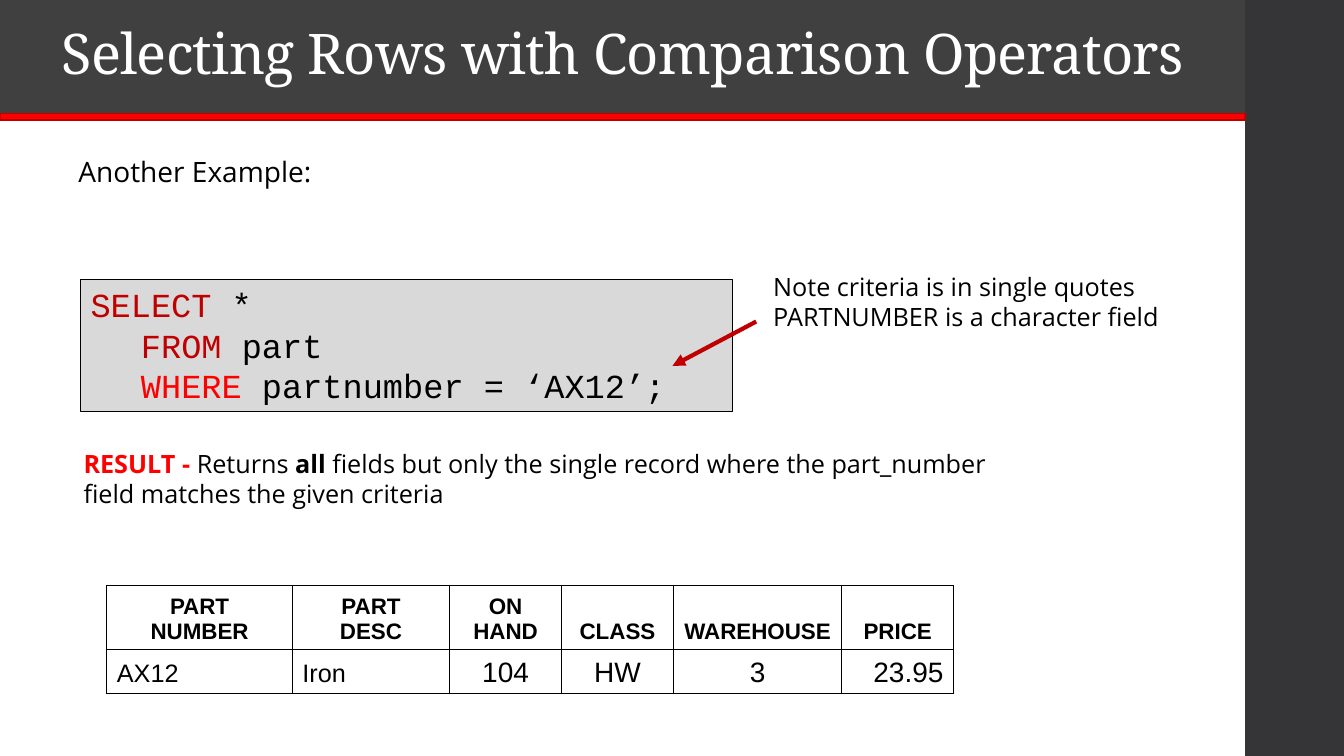
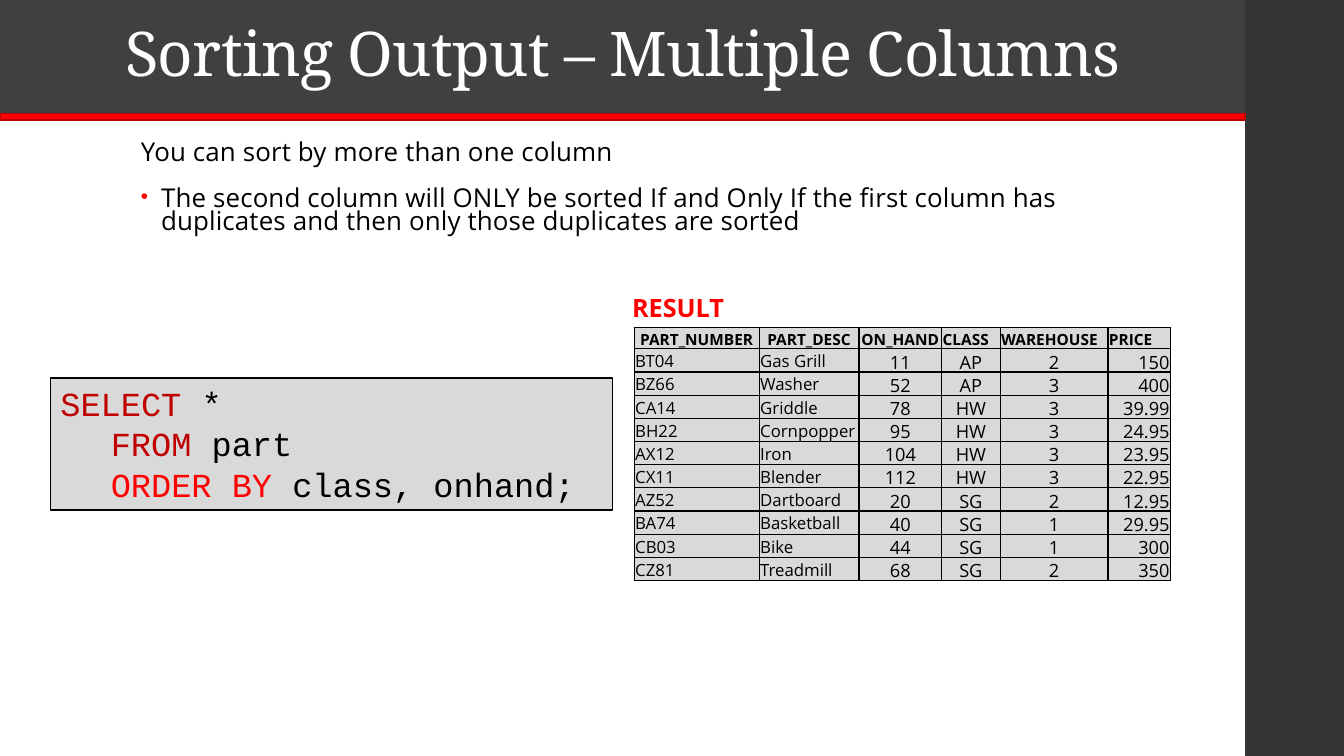
"""Builds two slides on selecting and sorting rows in SQL."""
from lxml import etree
from pptx import Presentation
from pptx import util as u
from pptx.dml.color import RGBColor
from pptx.enum import shapes, text
from pptx.oxml import ns

BLACK = RGBColor(0x00, 0x00, 0x00)
WHITE = RGBColor(0xFF, 0xFF, 0xFF)
RED = RGBColor(0xFF, 0x00, 0x00)
RULE_EDGE = RGBColor(0xBD, 0x00, 0x00)
KEYWORD = RGBColor(0xC0, 0x00, 0x00)
PANEL = RGBColor(0xD9, 0xD9, 0xD9)
TITLE_BAND = RGBColor(0x40, 0x40, 0x40)
SIDE_BAND = RGBColor(0x35, 0x35, 0x37)
SERIF, SANS, CODE, ARIAL = "Noto Serif", "Open Sans", "Courier New", "Arial"
ALIGN = {"l": text.PP_ALIGN.LEFT, "c": text.PP_ALIGN.CENTER, "r": text.PP_ALIGN.RIGHT}


def write(frame, lines, font=SANS, size=18, color=BLACK, bold=False, align="l",
          tracking=0, line_spacing=None, before=None, after=None):
    """Fill a frame; a line is a string or a list of (text, color, bold) spans."""
    frame.word_wrap = True
    for number, line in enumerate(lines):
        para = frame.add_paragraph() if number else frame.paragraphs[0]
        para.alignment = ALIGN[align]
        para.line_spacing = line_spacing
        para.space_before, para.space_after = before, after
        spans = [(line, color, bold)] if isinstance(line, str) else line
        for words, span_color, span_bold in spans:
            for index, piece in enumerate(words.split("\n")):
                if index:
                    para.add_line_break()
                span = para.add_run()
                span.text = piece
                span.font.name, span.font.size = font, u.Pt(size)
                span.font.bold = span_bold
                span.font.color.rgb = span_color
                if tracking:
                    span._r.get_or_add_rPr().set("spc", str(tracking))


def add_box(page, left, top, width, height, fill=None, line=None, weight=0.75):
    """Add a rectangle, or a plain text box when there is no fill."""
    place = [u.Inches(value) for value in (left, top, width, height)]
    if fill is None:
        return page.shapes.add_textbox(*place)
    box = page.shapes.add_shape(shapes.MSO_SHAPE.RECTANGLE, *place)
    box.shadow.inherit = False
    box.fill.solid()
    box.fill.fore_color.rgb = fill
    if line is None:
        box.line.fill.background()
    else:
        box.line.color.rgb = line
        box.line.width = u.Pt(weight)
    return box


deck = Presentation()
deck.slide_width, deck.slide_height = u.Inches(13.33), u.Inches(7.5)

titles = [("Selecting Rows with Comparison Operators", 40),
          ("Sorting Output – Multiple Columns", 44)]
pages = []
for title, size in titles:
    page = deck.slides.add_slide(deck.slide_layouts[6])
    add_box(page, 12.35, 0, 0.98, 7.5, SIDE_BAND)
    add_box(page, 0, 1.12, 12.35, 0.07, RED, RULE_EDGE, 1.1)
    band = add_box(page, 0, 0, 12.35, 1.12, TITLE_BAND)
    band.text_frame.vertical_anchor = text.MSO_ANCHOR.MIDDLE
    write(band.text_frame, [title], SERIF, size, WHITE, align="c", tracking=-50, line_spacing=0.9)
    pages.append(page)
compare, sort = pages

queries = [(compare, 0.8, 2.77, 6.47, "WHERE ", "partnumber = ‘AX12’;"),
           (sort, 0.5, 3.75, 5.58, "ORDER BY ", "class, onhand;")]
for page, left, top, width, keyword, clause in queries:
    box = add_box(page, left, top, width, 1.31, PANEL, BLACK)
    box.text_frame.vertical_anchor = text.MSO_ANCHOR.TOP
    write(box.text_frame, [
        [("SELECT", KEYWORD, False), (" *", BLACK, False)],
        [("FROM", KEYWORD, False), (" part", BLACK, False)],
        [(keyword, RED, False), (clause, BLACK, False)],
    ], CODE, 24)
    for para in box.text_frame.paragraphs[1:]:
        para._p.get_or_add_pPr().set("marL", str(u.Inches(0.5)))

write(add_box(compare, 0.68, 1.48, 6.38, 0.44).text_frame, ["Another Example:"], size=20)
write(add_box(compare, 7.57, 2.64, 4.62, 0.7).text_frame,
      ["Note criteria is in single quotes", "PARTNUMBER is a character field"])
write(add_box(compare, 0.73, 4.4, 11.39, 0.71).text_frame, [
    [("RESULT - ", RED, True), ("Returns ", BLACK, False), ("all", BLACK, True),
     (" fields but only the single record where the part_number", BLACK, False)],
    "field matches the given criteria",
])

arrow = compare.shapes.add_connector(shapes.MSO_CONNECTOR.STRAIGHT, u.Inches(7.5), u.Inches(3.19),
                                     u.Inches(6.67), u.Inches(3.63))
arrow.line.color.rgb = KEYWORD
arrow.line.width = u.Pt(3)
etree.SubElement(arrow.line._get_or_add_ln(), ns.qn("a:tailEnd"), type="triangle")
etree.SubElement(arrow._element.spPr, ns.qn("a:effectLst"))

write(add_box(sort, 6.17, 2.85, 1.29, 0.4).text_frame, ["RESULT"], color=RED, bold=True)
body = add_box(sort, 1.3, 1.37, 9.4, 1.36).text_frame
write(body, [
    "You can sort by more than one column",
    "The second column will ONLY be sorted If and Only If the first column has "
    "duplicates and then only those duplicates are sorted",
], size=18.5, tracking=10, line_spacing=0.75, before=u.Pt(14), after=u.Pt(2))
bullet = body.paragraphs[1]._p.get_or_add_pPr()
bullet.set("marL", str(u.Inches(0.2)))
bullet.set("indent", str(u.Inches(-0.2)))
bullet_color = etree.SubElement(bullet, ns.qn("a:buClr"))
etree.SubElement(bullet_color, ns.qn("a:srgbClr"), val=str(RED))
etree.SubElement(bullet, ns.qn("a:buSzPct"), val="80000")
etree.SubElement(bullet, ns.qn("a:buFont"), typeface=ARIAL)
etree.SubElement(bullet, ns.qn("a:buChar"), char="•")

part_rows = [
    ("PART\nNUMBER", "PART\nDESC", "ON\nHAND", "CLASS", "WAREHOUSE", "PRICE"),
    ("AX12", "Iron", "104", "HW", "3", "23.95"),
]
sorted_rows = [
    ("PART_NUMBER", "PART_DESC", "ON_HAND", "CLASS", "WAREHOUSE", "PRICE"),
    ("BT04", "Gas Grill", "11", "AP", "2", "150"),
    ("BZ66", "Washer", "52", "AP", "3", "400"),
    ("CA14", "Griddle", "78", "HW", "3", "39.99"),
    ("BH22", "Cornpopper", "95", "HW", "3", "24.95"),
    ("AX12", "Iron", "104", "HW", "3", "23.95"),
    ("CX11", "Blender", "112", "HW", "3", "22.95"),
    ("AZ52", "Dartboard", "20", "SG", "2", "12.95"),
    ("BA74", "Basketball", "40", "SG", "1", "29.95"),
    ("CB03", "Bike", "44", "SG", "1", "300"),
    ("CZ81", "Treadmill", "68", "SG", "2", "350"),
]
tables = [
    dict(page=compare, rows=part_rows, left=1.06, top=5.81, heights=(0.63, 0.43),
         widths=(1.84, 1.56, 1.11, 1.11, 1.67, 1.11), insets=(0.1, 0.05, 0.1, 0.05),
         font=ARIAL, sizes=(16, 18, 20), header="cccccc", fill=None),
    dict(page=sort, rows=sorted_rows, left=6.29, top=3.25, heights=(0.21, 0.23),
         widths=(1.24, 0.99, 0.82, 0.58, 1.07, 0.62), insets=(0.01, 0.01, 0.01, 0),
         font=SANS, sizes=(11, 12, 13), header="ccclll", fill=PANEL),
]
for plan in tables:
    rows, widths = plan["rows"], plan["widths"]
    header_height, row_height = plan["heights"]
    header_size, name_size, value_size = plan["sizes"]
    height = header_height + row_height * (len(rows) - 1)
    table = plan["page"].shapes.add_table(
        len(rows), len(widths), u.Inches(plan["left"]), u.Inches(plan["top"]),
        u.Inches(sum(widths)), u.Inches(height)).table
    table.first_row = table.horz_banding = False
    for column, width in zip(table.columns, widths):
        column.width = u.Inches(width)
    for row_index, row in enumerate(rows):
        is_header = row_index == 0
        table.rows[row_index].height = u.Inches(header_height if is_header else row_height)
        for column_index, words in enumerate(row):
            cell = table.cell(row_index, column_index)
            cell.vertical_anchor = text.MSO_ANCHOR.BOTTOM
            (cell.margin_left, cell.margin_top,
             cell.margin_right, cell.margin_bottom) = map(u.Inches, plan["insets"])
            size = header_size if is_header else name_size if column_index < 2 else value_size
            align = (plan["header"] if is_header else "llcccr")[column_index]
            write(cell.text_frame, [words], plan["font"], size, bold=is_header, align=align)
            borders = cell._tc.get_or_add_tcPr()
            for side in ("lnL", "lnR", "lnT", "lnB"):
                border = etree.SubElement(borders, ns.qn(f"a:{side}"), w=str(u.Pt(1)))
                paint = etree.SubElement(border, ns.qn("a:solidFill"))
                etree.SubElement(paint, ns.qn("a:srgbClr"), val=str(BLACK))
            if plan["fill"] is None:
                cell.fill.background()
            else:
                cell.fill.solid()
                cell.fill.fore_color.rgb = plan["fill"]

deck.save("out.pptx")
